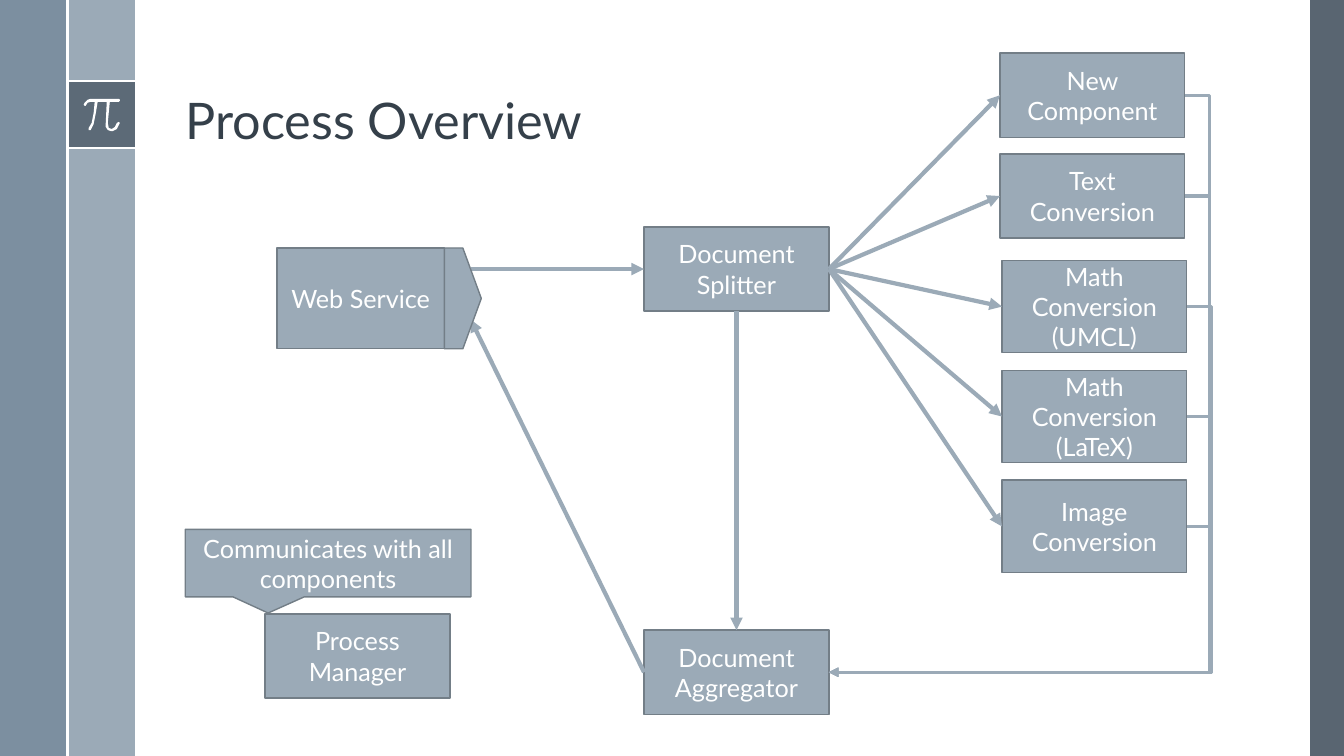
from typing import Any, NamedTuple

from lxml import etree
from pptx import Presentation
from pptx.dml.color import RGBColor
from pptx.enum.shapes import MSO_CONNECTOR, MSO_SHAPE
from pptx.enum.text import MSO_ANCHOR, PP_ALIGN
from pptx.oxml.ns import qn
from pptx.util import Cm, Pt

RECT = MSO_SHAPE.RECTANGLE
PLATE = MSO_SHAPE.PENTAGON
CALLOUT = MSO_SHAPE.RECTANGULAR_CALLOUT
STRAIGHT, ELBOW = MSO_CONNECTOR.STRAIGHT, MSO_CONNECTOR.ELBOW
CENTER, LEFT = PP_ALIGN.CENTER, PP_ALIGN.LEFT
MIDDLE, BOTTOM = MSO_ANCHOR.MIDDLE, MSO_ANCHOR.BOTTOM
TOP_SITE, LEFT_SITE, BOTTOM_SITE, RIGHT_SITE = range(4)

FONT = "Lato"
BLUE, BORDER, SLATE, STEEL = "9BAAB7", "737E87", "475562", "6A8093"
WHITE, TITLE_COLOR = "FFFFFF", "35404A"
WIDTH, HEIGHT = 33.87, 19.05
BOX_W, BOX_H, TALL_H = 4.66, 2.12, 2.33
STRIP_W = 1.7


class Box(NamedTuple):
    """A labelled shape, measured in centimetres."""
    text: str
    x: float
    y: float
    w: float = BOX_W
    h: float = BOX_H
    kind: Any = RECT


class Strip(NamedTuple):
    """A borderless block of the frame, with its opacity in percent."""
    x: float
    y: float
    w: float
    h: float
    color: str
    opacity: int = 100


class Port(NamedTuple):
    """An end of a connector, glued to a shape if one is given."""
    x: int
    y: int
    shape: Any = None
    site: int = 0


STRIPS = [
    Strip(33.02, 0, 0.85, HEIGHT, SLATE, 90),
    Strip(STRIP_W, 0, STRIP_W, HEIGHT, BLUE),
    Strip(0, 0, STRIP_W, HEIGHT, STEEL, 88),
    Strip(STRIP_W, 2.05, STRIP_W, 1.69, SLATE, 75),
]
RULES = [
    (STRIP_W, 2.05, 2 * STRIP_W, 2.05),
    (STRIP_W, 3.74, 2 * STRIP_W, 3.74),
    (STRIP_W, 0, STRIP_W, HEIGHT),
]
PI_UNIT = Cm(0.0254)
PI_OUTLINE = [
    (118, 98), (90, 98), (87, 99), (84, 102), (83, 104), (84, 105), (85, 105),
    (87, 102), (90, 101), (94, 101), (93, 112), (91, 122), (88, 127), (88, 129),
    (90, 129), (93, 123), (95, 113), (97, 101), (106, 101), (105, 122),
    (105, 126), (107, 129), (110, 130), (112, 130), (116, 128), (119, 122),
    (118, 121), (116, 122), (114, 126), (111, 128), (108, 127), (107, 122),
    (109, 101), (118, 101), (119, 100), (119, 99),
]
TOP_NAMES = ["New Component", "Text Conversion"]
TALL_NAMES = ["Math Conversion (UMCL)", "Math Conversion (LaTeX)", "Image Conversion"]
CONVERTERS = [Box(name, 25.2, 1.34 + 2.54 * i) for i, name in enumerate(TOP_NAMES)]
CONVERTERS += [Box(name, 25.25, 6.56 + 2.77 * i, h=TALL_H)
               for i, name in enumerate(TALL_NAMES)]


def rgb(color: str) -> RGBColor:
    """Turn a hex string into a colour."""
    return RGBColor.from_string(color)


def paint(shape: Any, fill: str, line: str = "") -> None:
    """Set a flat fill and an optional thin border."""
    shape.shadow.inherit = False
    shape.fill.solid()
    shape.fill.fore_color.rgb = rgb(fill)
    if line:
        shape.line.color.rgb = rgb(line)
        shape.line.width = Pt(1)
    else:
        shape.line.fill.background()


def set_text(shape: Any, text: str, size: float, color: str, align: Any, anchor: Any) -> None:
    """Write one paragraph and format it."""
    tf = shape.text_frame
    tf.text = text
    tf.word_wrap = True
    tf.vertical_anchor = anchor
    p = tf.paragraphs[0]
    p.alignment = align
    for r in p.runs:
        r.font.name = FONT
        r.font.size = Pt(size)
        r.font.color.rgb = rgb(color)


def add_box(s: Any, box: Box) -> Any:
    """Draw a bordered shape with its label."""
    sp = s.shapes.add_shape(box.kind, Cm(box.x), Cm(box.y), Cm(box.w), Cm(box.h))
    paint(sp, BLUE, BORDER)
    if box.text:
        set_text(sp, box.text, 18, WHITE, CENTER, MIDDLE)
    return sp


def add_strip(s: Any, strip: Strip) -> None:
    """Draw a block of the frame."""
    sp = s.shapes.add_shape(RECT, Cm(strip.x), Cm(strip.y), Cm(strip.w), Cm(strip.h))
    paint(sp, strip.color)
    if strip.opacity < 100:
        color = sp.fill._xPr.find(qn("a:solidFill"))[0]
        etree.SubElement(color, qn("a:alpha"), val=str(strip.opacity * 1000))


def add_pi(s: Any) -> None:
    """Draw the pi sign."""
    builder = s.shapes.build_freeform(*PI_OUTLINE[0], scale=PI_UNIT)
    builder.add_line_segments(PI_OUTLINE[1:], close=True)
    paint(builder.convert_to_shape(), WHITE)


def port(shape: Any, site: int) -> Port:
    """Find the middle of one side of a shape."""
    dx, dy = [(0.5, 0), (0, 0.5), (0.5, 1), (1, 0.5)][site]
    return Port(int(shape.left + dx * shape.width),
                int(shape.top + dy * shape.height), shape, site)


def add_line(s: Any, kind: Any, start: Port, end: Port, color: str, weight: float) -> Any:
    """Draw a connector between two ports."""
    c = s.shapes.add_connector(kind, start.x, start.y, end.x, end.y)
    if start.shape is not None:
        c.begin_connect(start.shape, start.site)
    if end.shape is not None:
        c.end_connect(end.shape, end.site)
    c.line.color.rgb = rgb(color)
    c.line.width = Pt(weight)
    etree.SubElement(c._element.spPr, qn("a:effectLst"))
    return c


def add_arrow(s: Any, start: Port, end: Port, kind: Any = STRAIGHT,
              weight: float = 3, bend: int = 0) -> None:
    """Draw an arrow; bend places the elbow in thousandths of a percent."""
    c = add_line(s, kind, start, end, BLUE, weight)
    etree.SubElement(c.line._get_or_add_ln(), qn("a:tailEnd"), type="triangle")
    if bend:
        guides = c._element.spPr.find(qn("a:prstGeom")).find(qn("a:avLst"))
        etree.SubElement(guides, qn("a:gd"), name="adj1", fmla=f"val {bend}")


prs = Presentation()
prs.slide_width, prs.slide_height = Cm(WIDTH), Cm(HEIGHT)
s = prs.slides.add_slide(prs.slide_layouts[5])

title = s.shapes.title
title.left, title.top, title.width, title.height = Cm(4.42), Cm(0.48), Cm(27.18), Cm(3.45)
set_text(title, "Process Overview", 36, TITLE_COLOR, LEFT, BOTTOM)
title.text_frame.paragraphs[0].line_spacing = 0.9

for strip in STRIPS:
    add_strip(s, strip)
for x1, y1, x2, y2 in RULES:
    add_line(s, STRAIGHT, Port(Cm(x1), Cm(y1)), Port(Cm(x2), Cm(y2)), WHITE, 1.5)
add_pi(s)

add_box(s, Box("Web Service", 6.98, 6.25, 4.22, 2.54))
splitter = add_box(s, Box("Document Splitter", 16.23, 5.72))
aggregator = add_box(s, Box("Document Aggregator", 16.23, 15.88))
add_box(s, Box("Process Manager", 6.68, 15.47))
callout = add_box(s, Box("Communicates with all components", 4.67, 13.34, 7.2, 1.7, CALLOUT))
callout.adjustments[0], callout.adjustments[1] = -0.21, 0.74

add_arrow(s, Port(Cm(11.86), Cm(6.78)), port(splitter, LEFT_SITE))
add_arrow(s, port(aggregator, LEFT_SITE), Port(Cm(11.86), Cm(8.05)))
add_arrow(s, port(splitter, BOTTOM_SITE), port(aggregator, TOP_SITE))
for box in CONVERTERS:
    converter = add_box(s, box)
    add_arrow(s, port(splitter, RIGHT_SITE), port(converter, LEFT_SITE))
    add_arrow(s, port(converter, RIGHT_SITE), port(aggregator, RIGHT_SITE),
              ELBOW, 2.25, -7050)
add_box(s, Box("", 11.2, 6.25, 0.93, 2.54, PLATE))

prs.save("out.pptx")
